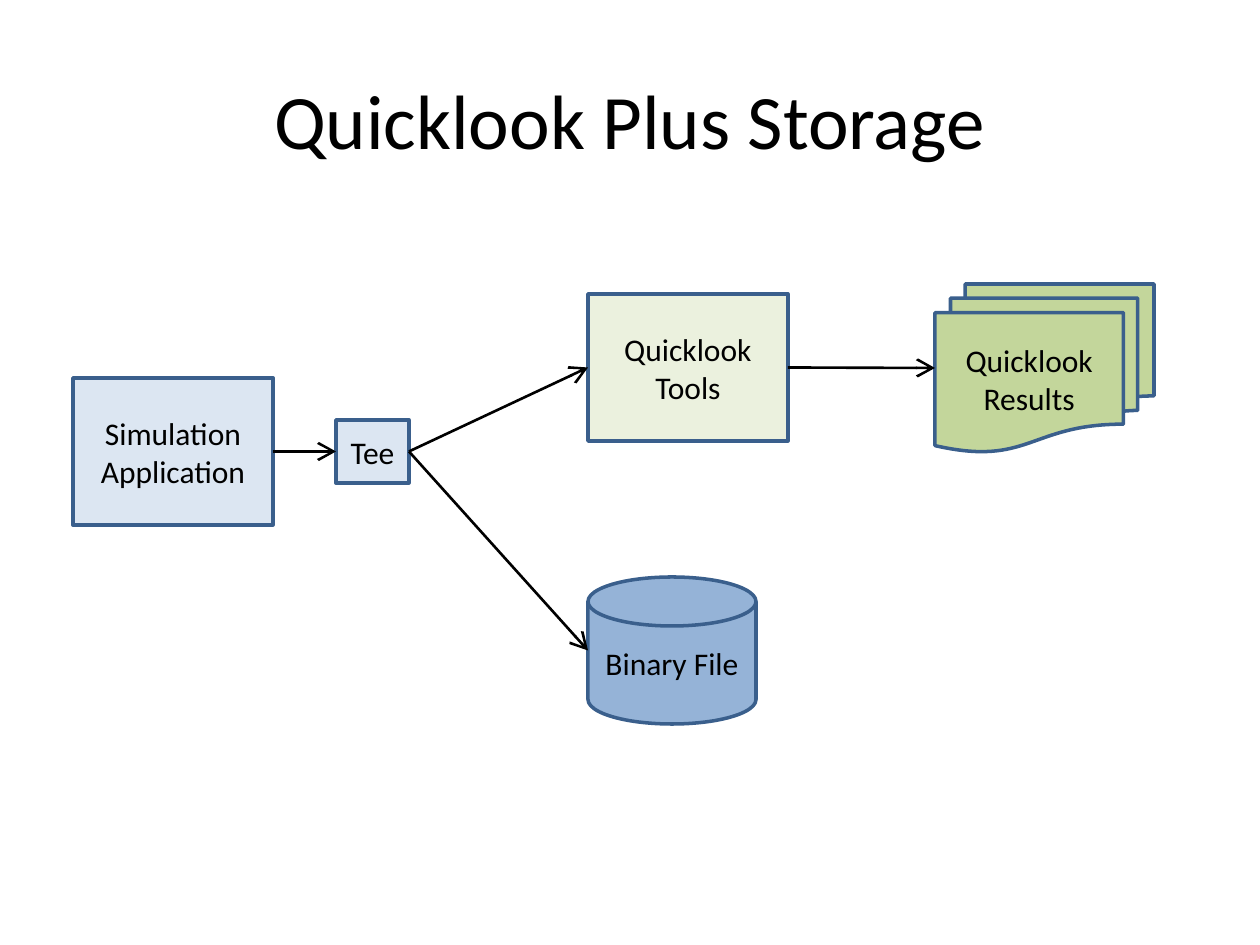
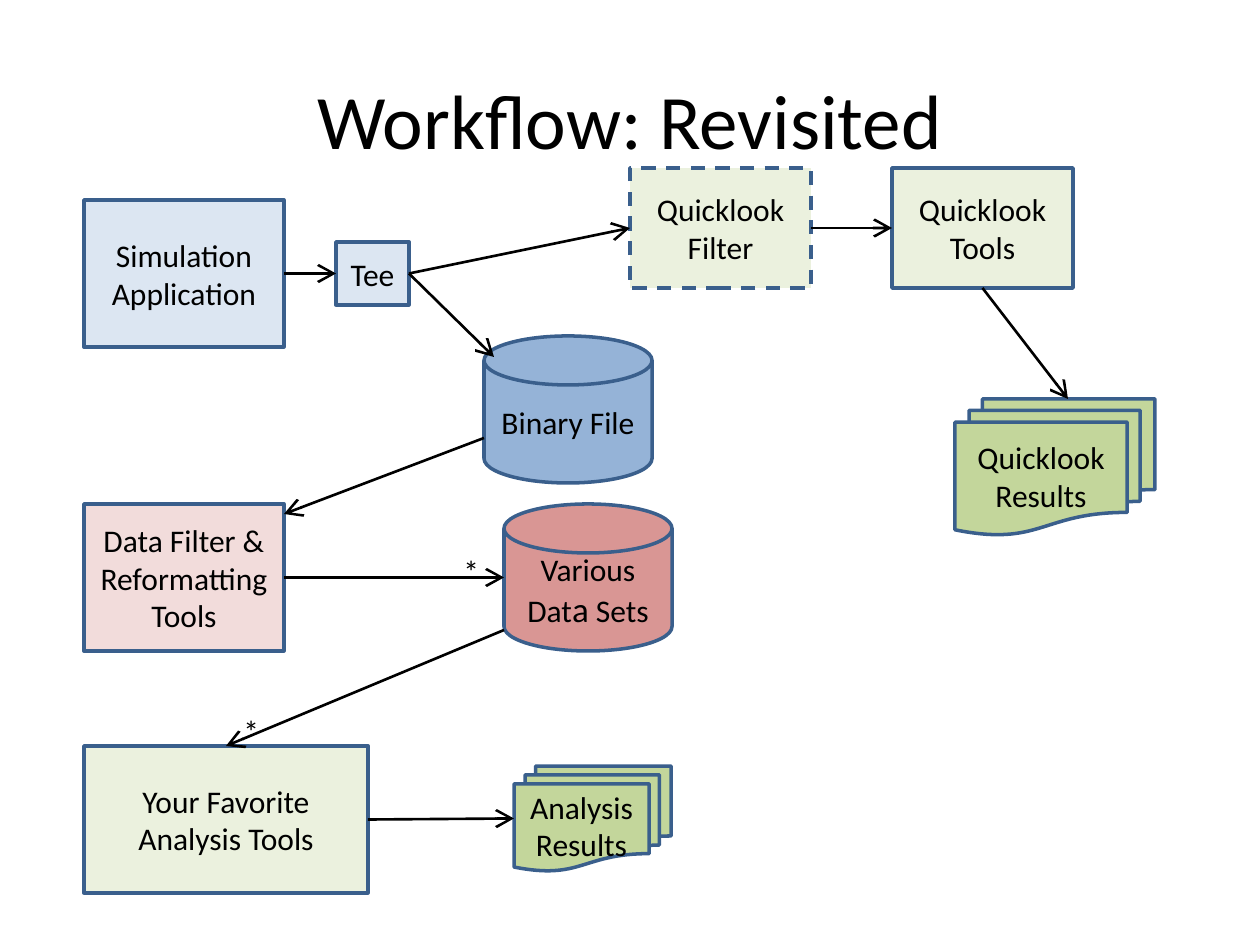
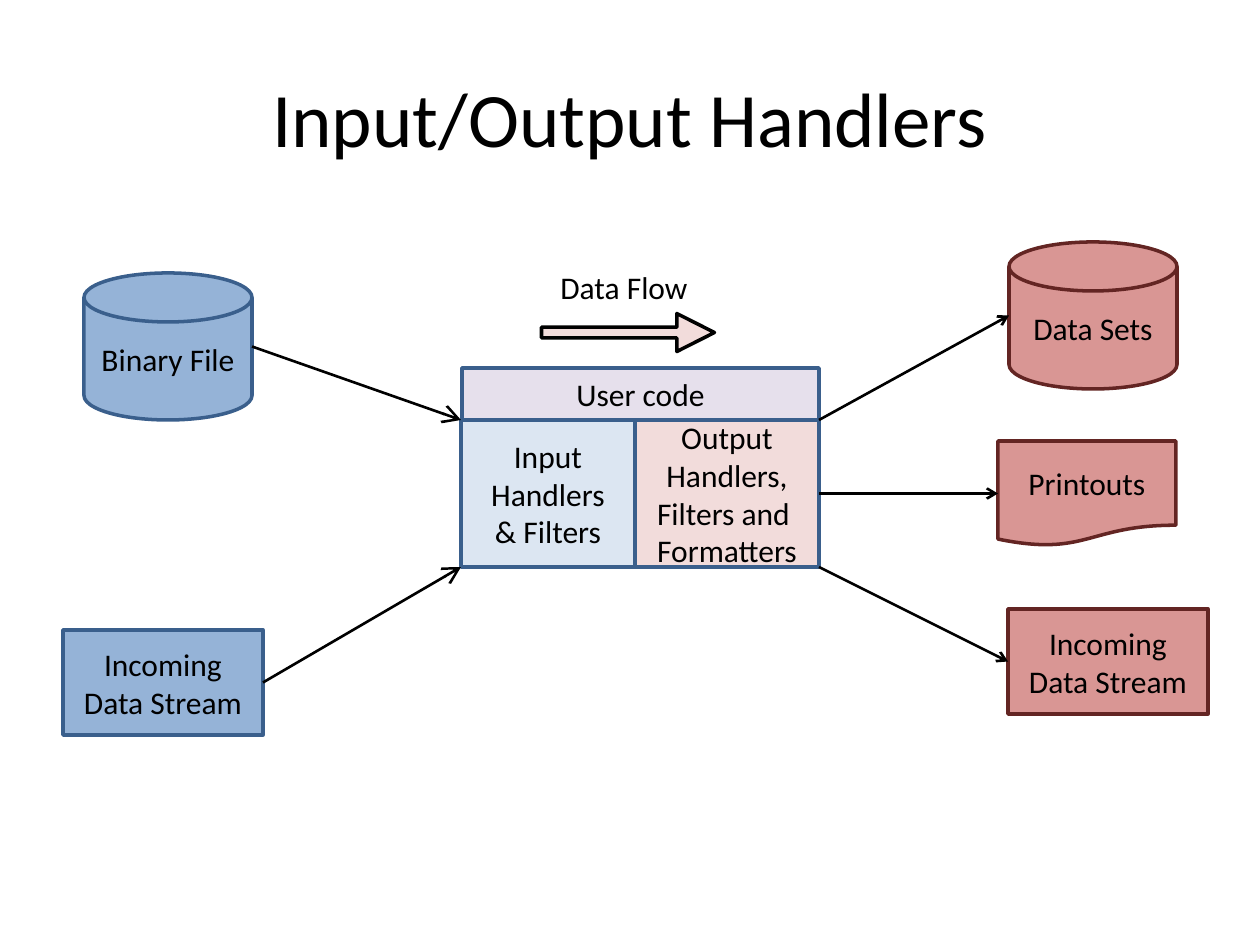
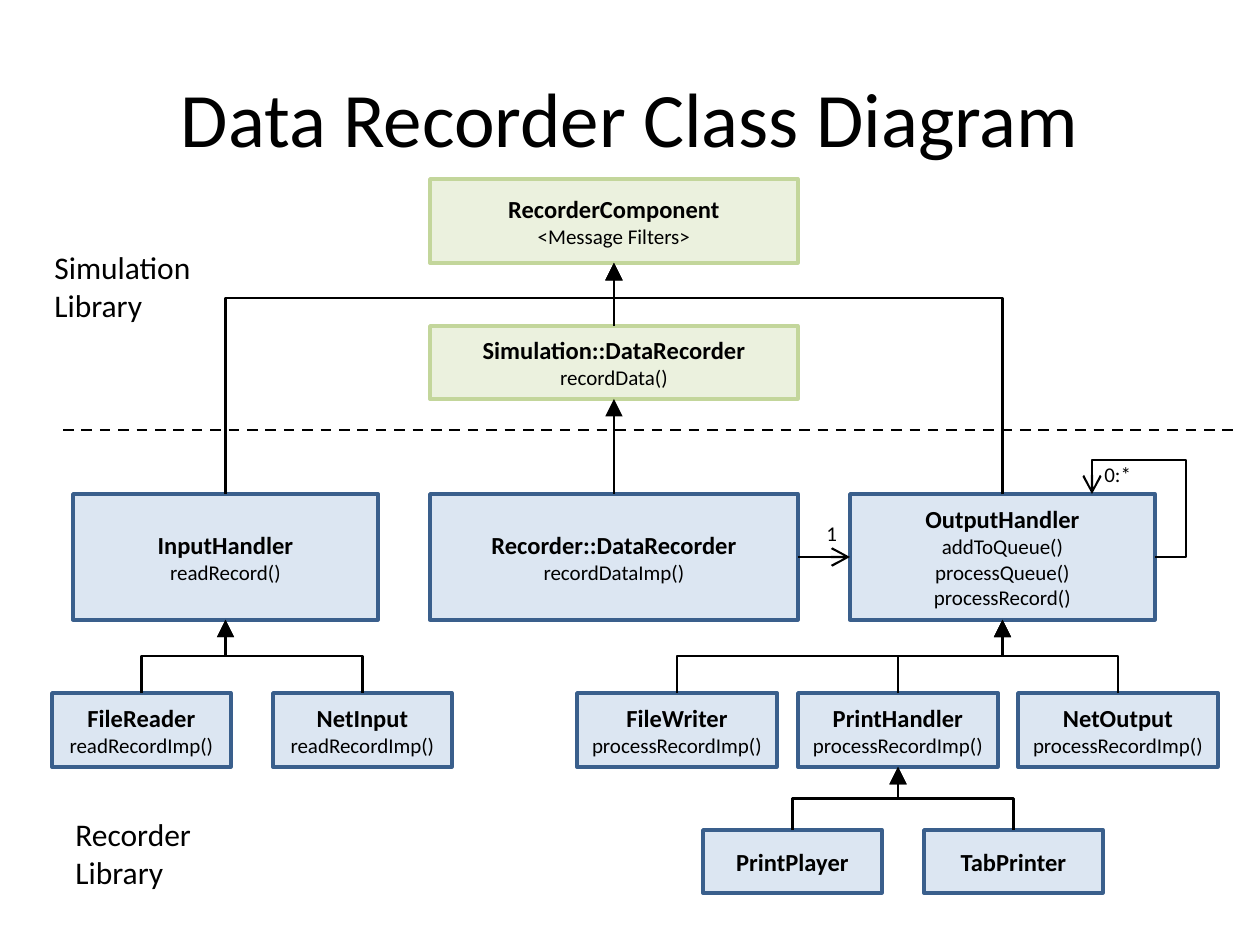
from dataclasses import dataclass
from lxml import etree
from pptx import Presentation
from pptx import util as u
from pptx.dml import color
from pptx.enum import dml, shapes, text
from pptx.oxml import ns

SCALE = 914400 / 126


@dataclass(frozen=True)
class Theme:
    font: str = "Calibri"
    ink: str = "000000"
    navy: str = "3A5F8C"
    maroon: str = "632523"
    sky: str = "DCE6F2"
    blue: str = "95B3D7"
    mint: str = "EBF1DE"
    green: str = "C3D69B"
    blush: str = "F2DCDB"
    red: str = "D99694"
    lilac: str = "E6E0EC"
    title: int = 44
    label: int = 18
    emphasis: int = 20
    class_name: int = 14
    member: int = 12
    outline: float = 2
    flow: float = 1.5
    relation: float = 1.25


THEME = Theme()
PRESETS = shapes.MSO_SHAPE
RECT = PRESETS.RECTANGLE
DISK = PRESETS.FLOWCHART_MAGNETIC_DISK
PAGES = PRESETS.FLOWCHART_MULTIDOCUMENT

STYLES = {
    "source": (RECT, THEME.sky, THEME.navy),
    "tool": (RECT, THEME.mint, THEME.navy),
    "filter": (RECT, THEME.blush, THEME.navy),
    "user": (RECT, THEME.lilac, THEME.navy),
    "store": (DISK, THEME.blue, THEME.navy),
    "data": (DISK, THEME.red, THEME.navy),
    "results": (PAGES, THEME.green, THEME.navy),
    "input": (RECT, THEME.blue, THEME.navy),
    "output": (RECT, THEME.red, THEME.maroon),
    "output data": (DISK, THEME.red, THEME.maroon),
    "printout": (PRESETS.FLOWCHART_DOCUMENT, THEME.red, THEME.maroon),
    "flow": (PRESETS.DOWN_ARROW, THEME.blush, THEME.ink),
    "simulation class": (RECT, THEME.mint, THEME.green),
    "recorder class": (RECT, THEME.sky, THEME.navy),
}

ANCHORS = {
    "left": (0, 0.5), "right": (1, 0.5), "top": (0.5, 0), "bottom": (0.5, 1),
    "topleft": (0, 0), "topright": (1, 0),
    "bottomleft": (0, 1), "bottomright": (1, 1),
}

SIMULATION = ["Simulation", "Application"]
QUICKLOOK_RESULTS = ["Quicklook", "Results"]
QUICKLOOK_TOOLS = ["Quicklook", "Tools"]
DATA_STREAM = ["Incoming", "Data Stream"]
VARIOUS = [[("Various Dat", THEME.label), ("a", THEME.emphasis), (" Sets", THEME.label)]]

SLIDES = [
    {
        "title": ("Quicklook Plus Storage", 42, 154),
        "boxes": {
            "simulation": ("source", (73, 378, 200, 147), SIMULATION),
            "tools": ("tool", (588, 294, 200, 147), QUICKLOOK_TOOLS),
            "tee": ("source", (336, 420, 73, 63), ["Tee"]),
            "binary": ("store", (588, 577, 168, 147), ["Binary File"]),
            "results": ("results", (935, 284, 219, 168), QUICKLOOK_RESULTS),
        },
        "arrows": [
            ("simulation right", "tee left"),
            ("tee right", "tools left"),
            ("tee right", "binary left"),
            ("tools right", "results left"),
        ],
    },
    {
        "title": ("Workflow: Revisited", 42, 154),
        "boxes": {
            "reformat": ("filter", (84, 504, 200, 147), ["Data Filter & Reformatting Tools"]),
            "simulation": ("source", (84, 200, 200, 147), SIMULATION),
            "analysis": ("tool", (84, 746, 284, 147), ["Your Favorite Analysis Tools"]),
            "binary": ("store", (484, 336, 168, 147), ["Binary File"]),
            "sets": ("data", (504, 504, 168, 147), VARIOUS),
            "analyses": ("results", (514, 766, 157, 105), ["Analysis\vResults"]),
            "tee": ("source", (336, 242, 73, 63), ["Tee"]),
            "selector": ("tool", (630, 168, 181, 120), ["Quicklook", "Filter"]),
            "results": ("results", (955, 399, 200, 136), QUICKLOOK_RESULTS),
            "tools": ("tool", (892, 168, 181, 120), QUICKLOOK_TOOLS),
        },
        "dashed": "selector",
        "labels": [((451, 546, 42, 50), ["*"]), ((231, 706, 42, 50), ["*"])],
        "arrows": [
            ("simulation right", "tee left"),
            ("tee right", "selector left"),
            ("selector right", "tools left"),
            ("tools bottom", (1068, 399)),
            ("tee right", (494, 357)),
            ((484, 438), (284, 514)),
            ("reformat right", "sets left"),
            ((504, 630), "analysis top"),
            ("analysis right", "analyses left"),
        ],
    },
    {
        "title": ("Input/Output Handlers", 38, 158),
        "boxes": {
            "reader": ("source", (461, 420, 174, 147), ["Input", "Handlers", "& Filters"]),
            "writer": ("filter", (635, 420, 184, 147),
                       ["Output", "Handlers,", "Filters and ", "Formatters"]),
            "sets": ("output data", (1009, 242, 168, 147), ["Data Sets"]),
            "binary": ("store", (84, 273, 168, 147), ["Binary File"]),
            "incoming": ("input", (63, 630, 200, 105), DATA_STREAM),
            "direction": ("flow", (609, 246, 38, 173), []),
            "outgoing": ("output", (1008, 609, 200, 105), DATA_STREAM),
            "printouts": ("printout", (998, 441, 178, 105), ["Printouts"]),
            "user": ("user", (462, 368, 357, 52), ["User code"]),
        },
        "labels": [((548, 262, 154, 50), ["Data Flow"])],
        "arrows": [
            ("binary right", "reader topleft"),
            ("incoming right", "reader bottomleft"),
        ],
        "small arrows": [
            ("writer topright", "sets left"),
            ("writer right", "printouts left"),
            ("writer bottomright", "outgoing left"),
        ],
    },
    {
        "title": ("Data Recorder Class Diagram", 38, 158),
        "boxes": {
            "component": ("simulation class", (430, 179, 368, 84),
                          ["RecorderComponent", "<Message Filters>"]),
            "simulation": ("simulation class", (430, 326, 368, 73),
                           ["Simulation::DataRecorder", "recordData()"]),
            "recorder": ("recorder class", (430, 494, 368, 126),
                         ["Recorder::DataRecorder", "recordDataImp()"]),
            "input": ("recorder class", (73, 494, 305, 126), ["InputHandler", "readRecord()"]),
            "output": ("recorder class", (850, 494, 305, 126),
                       ["OutputHandler", "addToQueue()", "processQueue()", "processRecord()"]),
            "printer": ("recorder class", (798, 693, 200, 74),
                        ["PrintHandler", "processRecordImp()"]),
            "writer": ("recorder class", (577, 693, 200, 74),
                       ["FileWriter", "processRecordImp()"]),
            "reader": ("recorder class", (52, 693, 179, 74), ["FileReader", "readRecordImp()"]),
            "netinput": ("recorder class", (273, 693, 179, 74), ["NetInput", "readRecordImp()"]),
            "netoutput": ("recorder class", (1018, 693, 200, 74),
                          ["NetOutput", "processRecordImp()"]),
            "player": ("recorder class", (703, 830, 179, 63), ["PrintPlayer"]),
            "tab": ("recorder class", (924, 830, 179, 63), ["TabPrinter"]),
        },
        "labels": [
            ((42, 242, 164, 89), ["Simulation", "Library"]),
            ((63, 809, 142, 89), ["Recorder", "Library"]),
        ],
        "counts": [((814, 514, 36, 38), ["1"]), ((1092, 455, 53, 38), ["0:*"])],
        "divider": ((63, 430), (1239, 430)),
        "inherits": [
            ("simulation", "component"), ("recorder", "simulation"),
            ("input", "component"), ("output", "component"),
            ("reader", "input"), ("netinput", "input"),
            ("writer", "output"), ("printer", "output"), ("netoutput", "output"),
            ("player", "printer"), ("tab", "printer"),
        ],
        "uses": [("recorder right", "output left"), ((1092, 462), (1092, 494))],
        "loop": ("output right", (1092, 483)),
    },
]


def px(value):
    return u.Emu(round(value * SCALE))


def rgb(value):
    return color.RGBColor.from_string(value)


def write(frame, lines, sizes, bold_first=False, align=None):
    for index, line in enumerate(lines):
        para = frame.paragraphs[0] if index == 0 else frame.add_paragraph()
        para.alignment = align
        size = sizes[min(index, len(sizes) - 1)]
        if isinstance(line, str):
            para.text = line
        else:
            for words, _ in line:
                para.add_run().text = words
        for position, span in enumerate(para.runs):
            span.font.size = u.Pt(size if isinstance(line, str) else line[position][1])
            span.font.name = THEME.font
            span.font.color.rgb = rgb(THEME.ink)
            span.font.bold = bold_first and index == 0


def add_title(page, words, top, height):
    title = page.shapes.title
    title.left, title.top, title.width, title.height = map(px, (63, top, 1134, height))
    title.text_frame.vertical_anchor = text.MSO_ANCHOR.MIDDLE
    write(title.text_frame, [words], [THEME.title], align=text.PP_ALIGN.CENTER)


def add_box(page, style, place, lines):
    preset, fill, outline = STYLES[style]
    box = page.shapes.add_shape(preset, *map(px, place))
    box.shadow.inherit = False
    box.fill.solid()
    box.fill.fore_color.rgb = rgb(fill)
    box.line.color.rgb = rgb(outline)
    box.line.width = u.Pt(THEME.outline)
    is_class = style.endswith("class")
    sizes = [THEME.class_name, THEME.member] if is_class else [THEME.label]
    box.text_frame.vertical_anchor = text.MSO_ANCHOR.MIDDLE
    write(box.text_frame, lines, sizes, is_class, text.PP_ALIGN.CENTER)
    if style == "flow":
        box.rotation = 270
        box.adjustments[0], box.adjustments[1] = 0.28, 0.99
    return box


def add_label(page, place, lines, size):
    label = page.shapes.add_textbox(*map(px, place))
    label.text_frame.word_wrap = False
    label.text_frame.auto_size = text.MSO_AUTO_SIZE.SHAPE_TO_FIT_TEXT
    write(label.text_frame, lines, [size])


def anchor(boxes, point):
    if not isinstance(point, str):
        return point
    name, side = point.split()
    left, top, width, height = boxes[name][1]
    across, down = ANCHORS[side]
    return left + across * width, top + down * height


def add_line(page, start, end, weight, head=None, size="lg", kind=shapes.MSO_CONNECTOR.STRAIGHT):
    line = page.shapes.add_connector(kind, *map(px, (*start, *end)))
    line.line.color.rgb = rgb(THEME.ink)
    line.line.width = u.Pt(weight)
    properties = line.element.spPr
    if head:
        etree.SubElement(properties.find(ns.qn("a:ln")), ns.qn("a:tailEnd"),
                         type=head, w=size, len=size)
    etree.SubElement(properties, ns.qn("a:effectLst"))
    return line


def bend(line, preset, *ratios):
    geometry = line.element.spPr.find(ns.qn("a:prstGeom"))
    geometry.set("prst", preset)
    guides = geometry.find(ns.qn("a:avLst"))
    for number, ratio in enumerate(ratios, 1):
        etree.SubElement(guides, ns.qn("a:gd"), name=f"adj{number}",
                         fmla=f"val {round(ratio * 100000)}")


def add_inheritance(page, start, end):
    if start[0] == end[0] or abs(start[0] - end[0]) < 2:
        add_line(page, (end[0], start[1]), end, THEME.relation, "triangle")
        return
    middle_x, middle_y = (start[0] + end[0]) / 2, (start[1] + end[1]) / 2
    rise, run = (start[1] - end[1]) / 2, abs(start[0] - end[0]) / 2
    rightward = end[0] > start[0]
    reach = rise if rightward else -rise
    line = add_line(page, (middle_x + reach, middle_y + run), (middle_x - reach, middle_y - run),
                    THEME.relation, "triangle", kind=shapes.MSO_CONNECTOR.ELBOW)
    turn = 90 if rightward else 270
    line.element.spPr.find(ns.qn("a:xfrm")).set("rot", str(turn * 60000))
    bend(line, "bentConnector3", 0.85 if rise > 100 else 0.5)


def build(deck, content):
    page = deck.slides.add_slide(deck.slide_layouts[5])
    boxes = content["boxes"]
    add_title(page, *content["title"])
    for name, (style, place, lines) in boxes.items():
        box = add_box(page, style, place, lines)
        if name == content.get("dashed"):
            box.line.dash_style = dml.MSO_LINE.DASH
    for group, size in (("labels", THEME.label), ("counts", THEME.member)):
        for place, lines in content.get(group, []):
            add_label(page, place, lines, size)
    for group, weight, size in (("arrows", THEME.flow, "lg"), ("small arrows", THEME.flow, "med"),
                                ("uses", THEME.relation, "lg")):
        for start, end in content.get(group, []):
            add_line(page, anchor(boxes, start), anchor(boxes, end), weight, "arrow", size)
    for child, parent in content.get("inherits", []):
        add_inheritance(page, anchor(boxes, child + " top"), anchor(boxes, parent + " bottom"))
    if "divider" in content:
        add_line(page, *content["divider"], THEME.flow).line.dash_style = dml.MSO_LINE.DASH
    if "loop" in content:
        start, end = (anchor(boxes, point) for point in content["loop"])
        loop = add_line(page, start, end, THEME.relation, kind=shapes.MSO_CONNECTOR.ELBOW)
        bend(loop, "bentConnector4", -0.5, 1.31)


deck = Presentation()
deck.slide_width, deck.slide_height = px(1260), px(945)
for content in SLIDES:
    build(deck, content)
deck.save("out.pptx")
